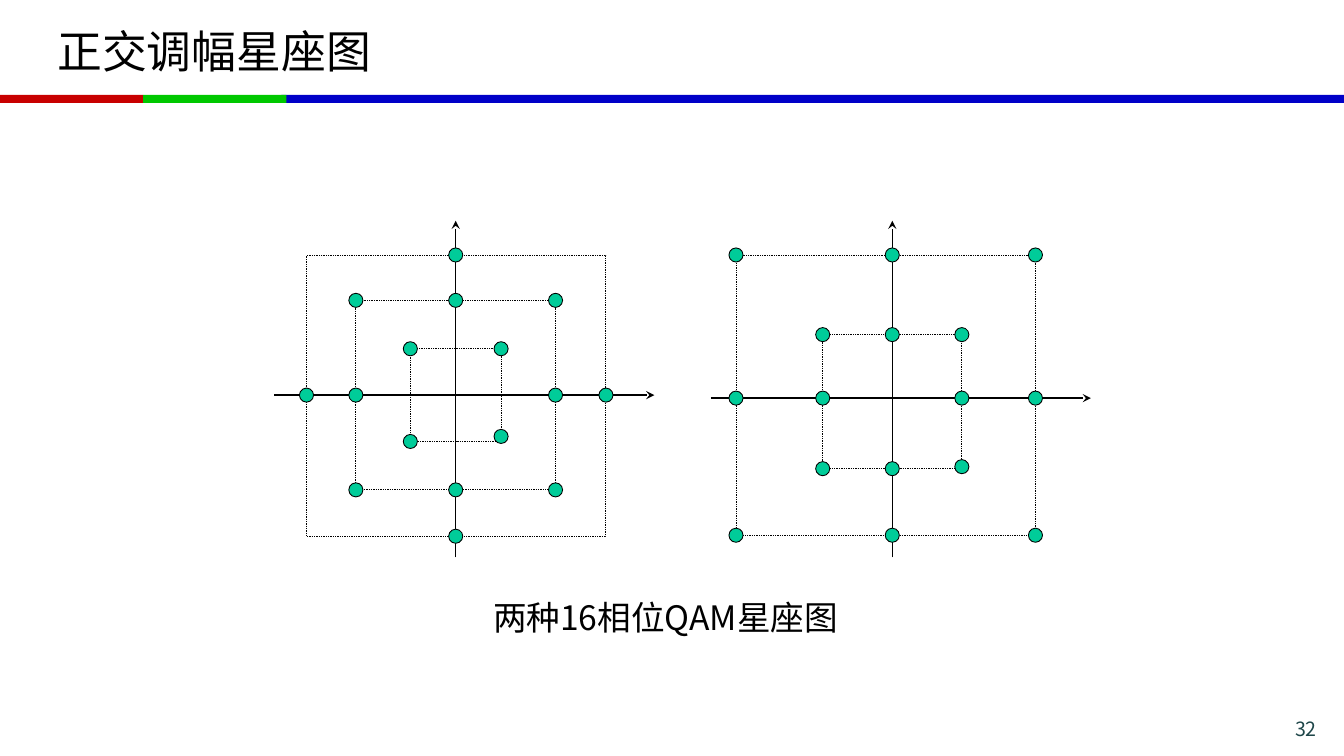
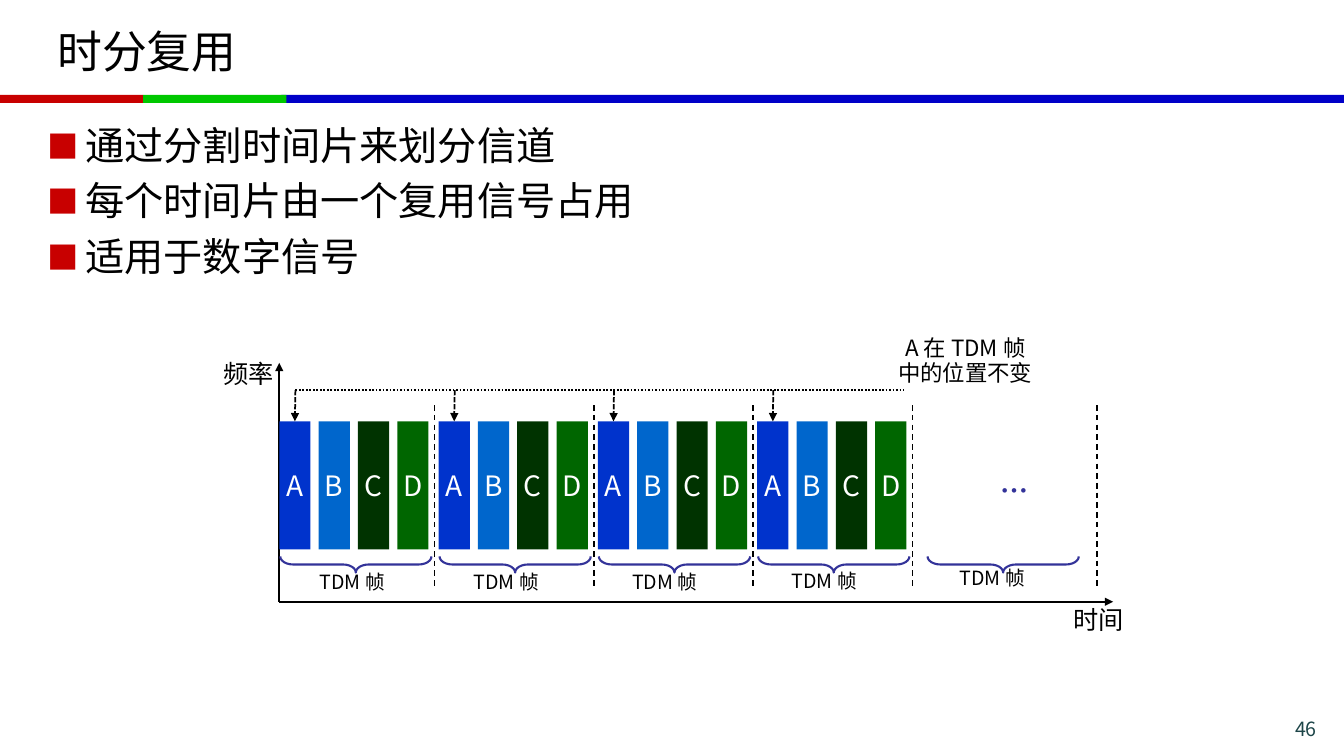
from lxml import etree
from pptx import Presentation
from pptx.dml.color import RGBColor
from pptx.enum.dml import MSO_LINE
from pptx.enum.shapes import MSO_CONNECTOR, MSO_SHAPE
from pptx.enum.text import MSO_ANCHOR, PP_ALIGN
from pptx.oxml.ns import qn
from pptx.util import Inches, Pt

FONT = "Noto Sans CJK SC"
COLORS = {
    "text": "000000", "paper": "FFFFFF", "number": "1E4649",
    "blue": "0000C8", "red": "C80000", "green": "00C800",
    "point": "00CC99", "brace": "333399",
    "A": "0033CC", "B": "0066CC", "C": "003300", "D": "006600",
}
COLORS = {name: RGBColor.from_string(value) for name, value in COLORS.items()}


def write(frame, text, size, color="text", align=PP_ALIGN.LEFT, spacing=None, wrap=True):
    frame.text = text
    frame.word_wrap = wrap
    for paragraph in frame.paragraphs:
        paragraph.alignment = align
        paragraph.line_spacing = spacing
        paragraph.font.name = FONT
        paragraph.font.size = Pt(size)
        paragraph.font.color.rgb = COLORS[color]
        defaults = paragraph._p.pPr.find(qn("a:defRPr"))
        etree.SubElement(defaults, qn("a:ea")).set("typeface", FONT)


def add_line(slide, start, end, width, dash=None, head=None):
    line = slide.shapes.add_connector(
        MSO_CONNECTOR.STRAIGHT, *[Inches(value) for value in (*start, *end)])
    line.line.color.rgb = COLORS["text"]
    line.line.width = Pt(width)
    if dash:
        line.line.dash_style = dash
    if head:
        etree.SubElement(line.line._get_or_add_ln(), qn("a:tailEnd")).set("type", head)
    etree.SubElement(line._element.spPr, qn("a:effectLst"))
    return line


prs = Presentation()
prs.slide_width, prs.slide_height = Inches(13.33), Inches(7.5)

bands = [(2.79, 10.54, "blue"), (0, 1.42, "red"), (1.42, 1.42, "green")]
slides = []
for title, number in [("正交调幅星座图", "32"), ("时分复用", "46")]:
    slide = prs.slides.add_slide(prs.slide_layouts[6])
    for left, width, color in bands:
        band = slide.shapes.add_shape(
            MSO_SHAPE.RECTANGLE, Inches(left), Inches(0.94), Inches(width), Inches(0.08))
        band.shadow.inherit = False
        band.fill.solid()
        band.fill.fore_color.rgb = COLORS[color]
        band.line.fill.background()
    heading = slide.shapes.add_textbox(Inches(0.47), Inches(0.08), Inches(12.39), Inches(0.84))
    heading.text_frame.vertical_anchor = MSO_ANCHOR.MIDDLE
    write(heading.text_frame, title, 32)
    page = slide.shapes.add_textbox(Inches(11.86), Inches(7.06), Inches(1.3), Inches(0.28))
    write(page.text_frame, number, 14, "number", PP_ALIGN.RIGHT)
    slides.append(slide)
qam, tdm = slides

# (left, top, right, bottom, corner points, side points, drop of the last corner)
constellations = [
    ((4.52, 3.92), (2.72, 6.49), [
        (3.04, 2.53, 6.01, 5.32, False, True, 0),
        (3.53, 2.98, 5.51, 4.86, True, True, 0),
        (4.07, 3.46, 4.97, 4.38, True, False, 0.05),
    ]),
    ((8.85, 3.95), (7.05, 10.82), [
        (7.3, 2.53, 10.27, 5.31, True, True, 0),
        (8.16, 3.32, 9.54, 4.65, True, True, 0.02),
    ]),
]
DOT = 0.14
for (axis_x, axis_y), (axis_left, axis_right), rings in constellations:
    outlines, points = [], []
    for left, top, right, bottom, corners, sides, lift in rings:
        outlines.append((MSO_SHAPE.RECTANGLE, left, top, right - left, bottom - top))
        if corners:
            points += [(left, top), (right, top), (left, bottom), (right, bottom - lift)]
        if sides:
            points += [(axis_x, top), (axis_x, bottom), (left, axis_y), (right, axis_y)]
    dots = [(MSO_SHAPE.OVAL, x - DOT / 2, y - DOT / 2, DOT, DOT) for x, y in points]
    for marks, color, dash in [(outlines, "paper", MSO_LINE.ROUND_DOT), (dots, "point", None)]:
        for kind, *box in marks:
            mark = qam.shapes.add_shape(kind, *[Inches(value) for value in box])
            mark.shadow.inherit = False
            mark.fill.solid()
            mark.fill.fore_color.rgb = COLORS[color]
            mark.line.color.rgb = COLORS["text"]
            mark.line.width = Pt(0.63)
            mark.line.dash_style = dash
        if marks is outlines:
            add_line(qam, (axis_left, axis_y), (axis_right, axis_y), 1, head="stealth")
            add_line(qam, (axis_x, 5.53), (axis_x, 2.19), 1, head="stealth")

caption = qam.shapes.add_textbox(Inches(4.76), Inches(5.87), Inches(3.68), Inches(0.5))
write(caption.text_frame, "两种16相位QAM星座图", 24, align=PP_ALIGN.CENTER)

points_box = tdm.shapes.add_textbox(Inches(0.37), Inches(1.15), Inches(12.6), Inches(1.84))
write(points_box.text_frame,
      "通过分割时间片来划分信道\n每个时间片由一个复用信号占用\n适用于数字信号", 28)
for index, paragraph in enumerate(points_box.text_frame.paragraphs):
    properties = paragraph._p.pPr
    properties.set("marL", str(Inches(0.38)))
    properties.set("indent", str(-Inches(0.38)))
    defaults = properties.find(qn("a:defRPr"))
    bullet_color = etree.Element(qn("a:buClr"))
    etree.SubElement(bullet_color, qn("a:srgbClr")).set("val", str(COLORS["red"]))
    bullet_size = etree.Element(qn("a:buSzPct"), val="80000")
    bullet_font = etree.Element(qn("a:buFont"), typeface=FONT)
    bullet_mark = etree.Element(qn("a:buChar"), char="■")
    for element in (bullet_color, bullet_size, bullet_font, bullet_mark):
        defaults.addprevious(element)
    if index:
        paragraph.space_before = Pt(6)

add_line(tdm, (2.77, 5.97), (11.04, 5.97), 1.5, head="triangle")
add_line(tdm, (2.77, 5.97), (2.77, 3.6), 1.5, head="triangle")
for name, left, top in [("频率", 2.12, 3.54), ("时间", 10.55, 5.98)]:
    axis_name = tdm.shapes.add_textbox(Inches(left), Inches(top), Inches(0.7), Inches(0.37))
    write(axis_name.text_frame, name, 18, spacing=0.9, wrap=False)

remark = tdm.shapes.add_textbox(Inches(8.71), Inches(3.3), Inches(1.73), Inches(0.59))
write(remark.text_frame, "A 在 TDM 帧\n中的位置不变", 16, align=PP_ALIGN.CENTER, spacing=0.9)
add_line(tdm, (2.93, 3.87), (8.96, 3.87), 1.25, MSO_LINE.ROUND_DOT)

FRAME_STEP, SLOT_STEP = 1.58, 0.39
frame_lefts = [2.77 + FRAME_STEP * index for index in range(4)]
for frame_left in frame_lefts:
    for index, channel in enumerate("ABCD"):
        slot = tdm.shapes.add_shape(
            MSO_SHAPE.RECTANGLE, Inches(frame_left + SLOT_STEP * index), Inches(4.18),
            Inches(0.31), Inches(1.27))
        slot.shadow.inherit = False
        slot.fill.solid()
        slot.fill.fore_color.rgb = COLORS[channel]
        slot.line.fill.background()
        slot.text_frame.vertical_anchor = MSO_ANCHOR.MIDDLE
        write(slot.text_frame, channel, 20, "paper", PP_ALIGN.CENTER, wrap=False)
        if channel == "A":
            middle = frame_left + 0.16
            pointer = add_line(tdm, (middle, 3.87), (middle, 4.18), 1.25,
                               MSO_LINE.SQUARE_DOT, "triangle")
            pointer.end_connect(slot, 0)

for divider in [left + 1.54 for left in frame_lefts] + [10.88]:
    add_line(tdm, (divider, 4.02), (divider, 5.84), 1, MSO_LINE.DASH)

brace_centers = [left + 0.76 for left in frame_lefts] + [9.95]
label_places = [(3.07, 5.63), (4.6, 5.63), (6.17, 5.63), (7.75, 5.62), (9.42, 5.59)]
for center, (left, top) in zip(brace_centers, label_places):
    brace = tdm.shapes.add_shape(
        MSO_SHAPE.LEFT_BRACE, Inches(center - 0.08), Inches(4.85), Inches(0.16), Inches(1.5))
    brace.rotation = 270
    brace.adjustments[0] = 0.8
    brace.shadow.inherit = False
    brace.fill.background()
    brace.line.color.rgb = COLORS["brace"]
    brace.line.width = Pt(1.5)
    frame_name = tdm.shapes.add_textbox(Inches(left), Inches(top), Inches(0.88), Inches(0.31))
    write(frame_name.text_frame, "TDM 帧", 14, spacing=0.9)

more = tdm.shapes.add_textbox(Inches(9.82), Inches(4.65), Inches(0.4), Inches(0.43))
write(more.text_frame, "…", 20, "brace", wrap=False)
more.text_frame.paragraphs[0].font.bold = True

prs.save("out.pptx")
